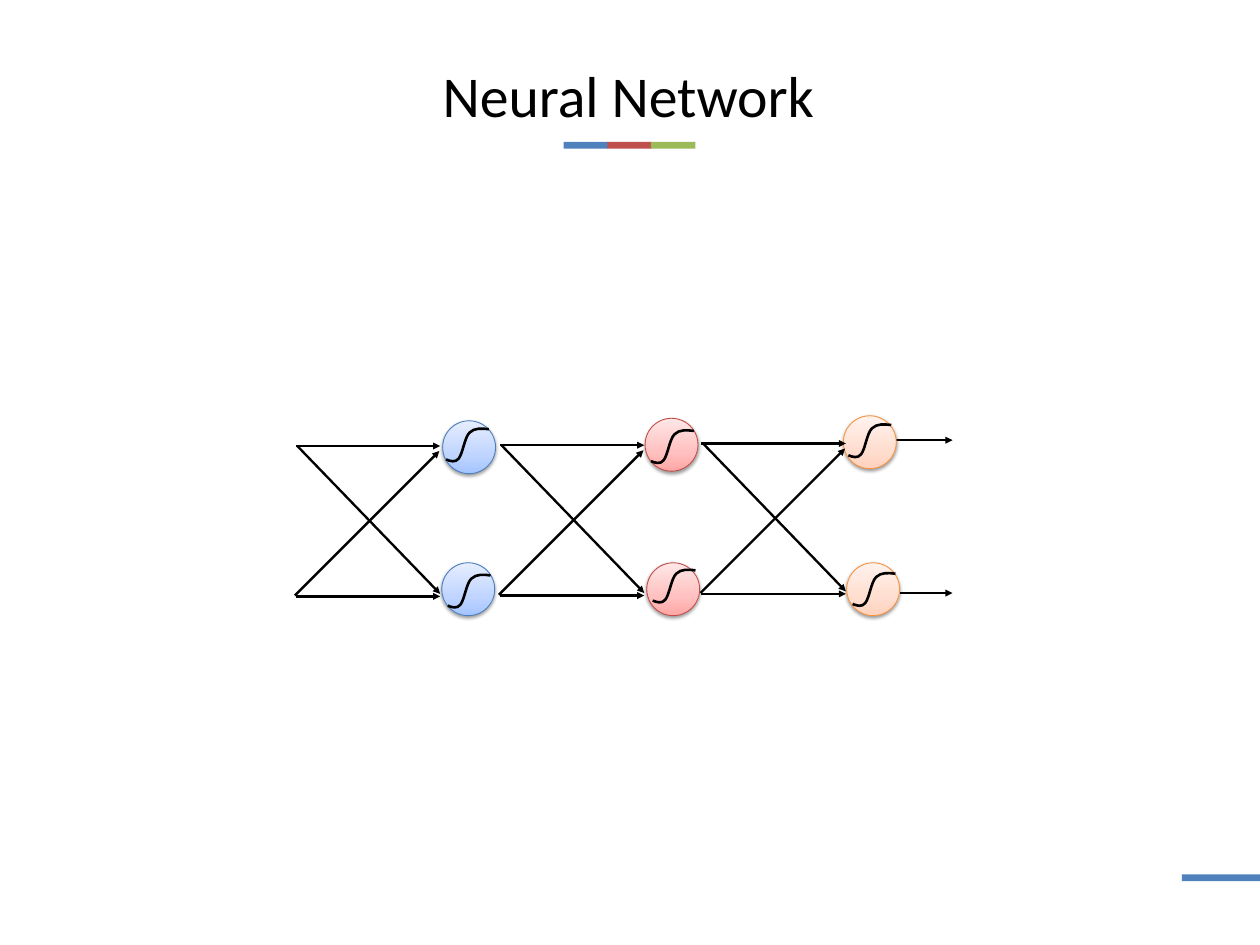
from copy import deepcopy

from lxml import etree
from pptx import Presentation
from pptx.dml.color import RGBColor
from pptx.enum.shapes import MSO_CONNECTOR, MSO_SHAPE
from pptx.enum.text import MSO_ANCHOR, PP_ALIGN
from pptx.oxml.ns import qn
from pptx.util import Inches, Pt

OVAL, RECT = MSO_SHAPE.OVAL, MSO_SHAPE.RECTANGLE
LINE = MSO_CONNECTOR.STRAIGHT
MIDDLE, CENTER = MSO_ANCHOR.MIDDLE, PP_ALIGN.CENTER

BLACK = RGBColor(0, 0, 0)
BLUE = RGBColor(0x4F, 0x81, 0xBD)
RED = RGBColor(0xC0, 0x50, 0x4D)
GREEN = RGBColor(0x9B, 0xBB, 0x59)

# Node looks: outline, then gradient colours from bottom to top
SKY = [RGBColor.from_string(c) for c in ("4B7EBC", "A4C4FF", "BFD4FF", "E6EEFF")]
ROSE = [RGBColor.from_string(c) for c in ("BF4C48", "FFA6A5", "FFC0BF", "FFE7E7")]
PEACH = [RGBColor.from_string(c) for c in ("F69240", "FFD2BD", "FFDED0", "FFF2ED")]
STOPS = (0, 0.35, 1)

NODE = 0.63
# Sigmoid from its upper right end: start, then three Bezier pieces
CURVE_W, CURVE_H = 0.51, 0.39
START = (0.51, 0.01)
PIECES = [
    [(0.43, 0), (0.34, -0.01), (0.28, 0.05)],
    [(0.22, 0.11), (0.2, 0.3), (0.15, 0.36)],
    [(0.11, 0.41), (0.05, 0.39), (0, 0.37)],
]

# Wires between two layers: start and end within the mesh
MESH = [
    (0, 1.78, 1.72, 0.06),
    (0.03, 0, 1.73, 1.76),
    (0.01, 1.79, 1.73, 1.79),
    (0.01, 0, 1.73, 0),
]
MESHES = [(3.51, 5.31), (5.94, 5.3), (8.34, 5.28)]
OUTS = [(10.63, 7.06), (10.63, 5.24)]

# Node left and top, then the left and top of its curve
NODES = [
    (SKY, 5.27, 5.01, 5.31, 5.1),
    (SKY, 5.26, 6.7, 5.33, 6.84),
    (ROSE, 7.68, 4.98, 7.75, 5.12),
    (ROSE, 7.7, 6.7, 7.77, 6.78),
    (PEACH, 10.04, 4.95, 10.1, 5.05),
    (PEACH, 10.08, 6.7, 10.15, 6.82),
]


def add_bar(slide, x, y, w, h, color):
    bar = slide.shapes.add_shape(RECT, Inches(x), Inches(y), Inches(w), Inches(h))
    bar.shadow.inherit = False
    bar.fill.solid()
    bar.fill.fore_color.rgb = color
    bar.line.fill.background()


def add_title(slide, x, y, w, h):
    # Three-colour rule under the title
    for i, color in enumerate((BLUE, RED, GREEN)):
        add_bar(slide, x + 6.34 + 0.52 * i, y + 1.04, 0.53, 0.08, color)

    box = slide.shapes.add_textbox(Inches(x), Inches(y), Inches(w), Inches(h))
    frame = box.text_frame
    frame.word_wrap = True
    frame.vertical_anchor = MIDDLE
    frame.margin_left = frame.margin_right = Inches(0.07)
    frame.margin_top = frame.margin_bottom = Inches(0.04)
    para = frame.paragraphs[0]
    para.text = "Neural Network"
    para.alignment = CENTER
    para.line_spacing = 0.9
    para.font.name = "Calibri"
    para.font.size = Pt(49.5)
    para.font.color.rgb = BLACK


def add_arrow(shapes, x1, y1, x2, y2):
    arrow = shapes.add_connector(LINE, Inches(x1), Inches(y1), Inches(x2), Inches(y2))
    arrow.line.color.rgb = BLACK
    arrow.line.width = Pt(2)
    props = arrow._element.spPr
    etree.SubElement(props.find(qn("a:ln")), qn("a:tailEnd"), type="triangle")
    etree.SubElement(props, qn("a:effectLst"))


def add_mesh(slide, x, y):
    group = slide.shapes.add_group_shape()
    for x1, y1, x2, y2 in MESH:
        add_arrow(group.shapes, x + x1, y + y1, x + x2, y + y2)


def add_node(slide, x, y, look):
    node = slide.shapes.add_shape(OVAL, Inches(x), Inches(y), Inches(NODE), Inches(NODE))
    node.line.color.rgb = look[0]
    node.line.width = Pt(0.75)

    # Gradient with a third stop
    node.fill.gradient()
    node.fill.gradient_angle = 90
    props = node._element.spPr
    first = props.find(".//" + qn("a:gs"))
    first.addnext(deepcopy(first))
    for stop, place, color in zip(node.fill.gradient_stops, STOPS, look[1:]):
        stop.position = place
        stop.color.rgb = color

    # Soft shadow straight below
    node.shadow.inherit = False
    shade = etree.SubElement(
        props.find(qn("a:effectLst")), qn("a:outerShdw"),
        blurRad=str(Pt(3.1)), dist=str(Pt(1.6)), dir="5400000", rotWithShape="0")
    tint = etree.SubElement(shade, qn("a:srgbClr"), val="000000")
    etree.SubElement(tint, qn("a:alpha"), val="38000")


def add_point(parent, x, y):
    etree.SubElement(parent, qn("a:pt"), x=str(Inches(x)), y=str(Inches(y)))


def add_sigmoid(slide, x, y):
    # The diagonal fixes the box; the Bezier pieces then take its place
    pen = slide.shapes.build_freeform(Inches(x + CURVE_W), Inches(y))
    pen.add_line_segments([(Inches(x), Inches(y + CURVE_H))], close=False)
    curve = pen.convert_to_shape()
    route = curve._element.spPr.find(".//" + qn("a:moveTo")).getparent()
    for step in list(route):
        route.remove(step)
    add_point(etree.SubElement(route, qn("a:moveTo")), *START)
    for piece in PIECES:
        bend = etree.SubElement(route, qn("a:cubicBezTo"))
        for point in piece:
            add_point(bend, *point)

    curve.shadow.inherit = False
    curve.fill.background()
    curve.line.color.rgb = BLACK
    curve.line.width = Pt(2.25)


def add_network(slide):
    for x, y in OUTS:
        add_arrow(slide.shapes, x, y, x + 0.71, y)
    for look, x, y, _, _ in NODES:
        add_node(slide, x, y, look)
    for x, y in MESHES:
        add_mesh(slide, x, y)
    for _, _, _, x, y in NODES:
        add_sigmoid(slide, x, y)


def main():
    deck = Presentation()
    deck.slide_width, deck.slide_height = Inches(15), Inches(11.25)
    slide = deck.slides.add_slide(deck.slide_layouts[6])
    add_bar(slide, 14.07, 10.41, 0.93, 0.08, BLUE)  # footer mark
    add_title(slide, 0.37, 0.65, 14.22, 1.05)
    add_network(slide)
    deck.save("out.pptx")


if __name__ == "__main__":
    main()
